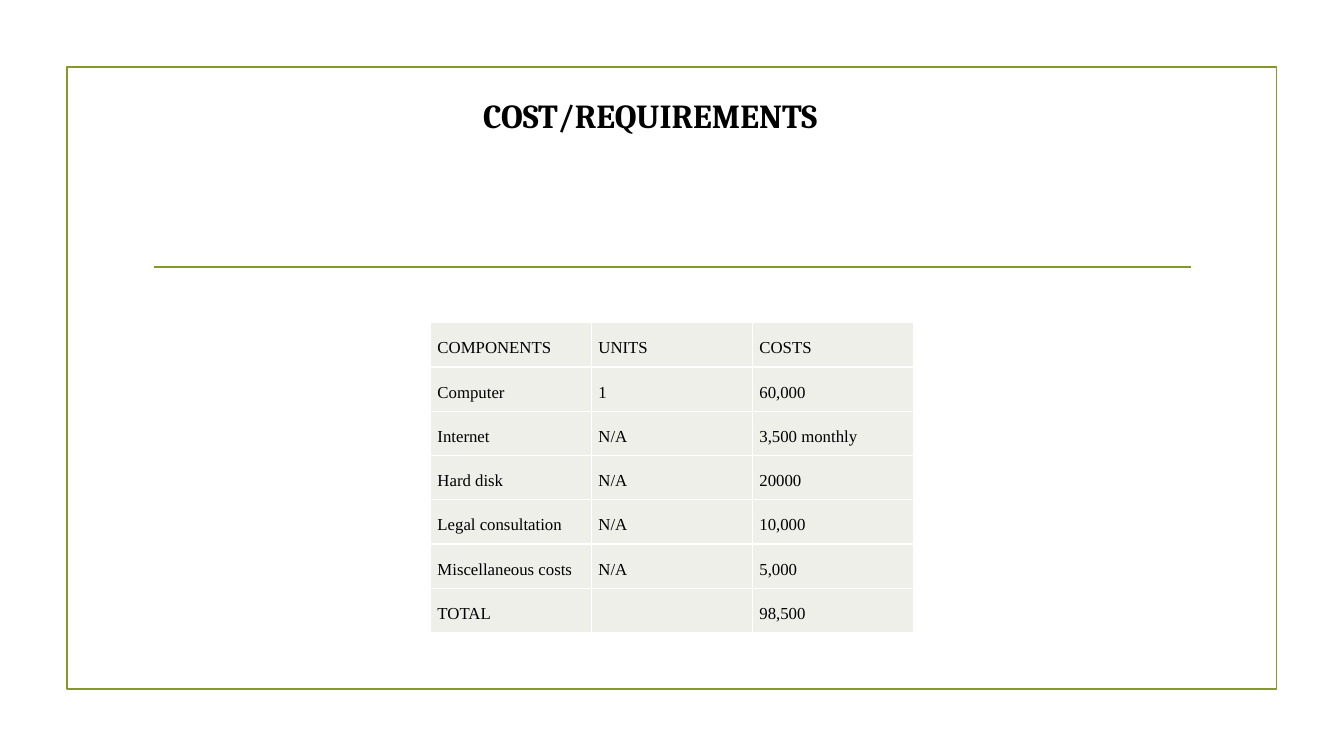
from lxml.etree import SubElement
from pptx import Presentation
from pptx.dml.color import RGBColor
from pptx.enum.shapes import MSO_CONNECTOR as Connector, MSO_SHAPE as Shape
from pptx.enum.text import MSO_AUTO_SIZE as AutoSize, PP_ALIGN as Align
from pptx.oxml.ns import qn
from pptx.util import Pt

COSTS = [
    ("COMPONENTS", "UNITS", "COSTS"),
    ("Computer", "1", "60,000"),
    ("Internet", "N/A", "3,500 monthly"),
    ("Hard disk", "N/A", "20000"),
    ("Legal consultation", "N/A", "10,000"),
    ("Miscellaneous costs", "N/A", "5,000"),
    ("TOTAL", "", "98,500"),
]


def color(value):
    return RGBColor.from_string(value)


def write(frame, text, font="Times New Roman", size=12, bold=False,
          align=Align.JUSTIFY, spacing=1.0):
    para = frame.paragraphs[0]
    para.alignment = align
    para.line_spacing = spacing
    span = para.add_run()
    span.text = text
    span.font.name = font
    span.font.size = Pt(size)
    span.font.bold = bold
    span.font.color.rgb = color("000000")


def border_cell(cell, value, width):
    """Draw all four edges of a table cell."""
    properties = cell._tc.get_or_add_tcPr()
    for position, edge in enumerate(("a:lnL", "a:lnR", "a:lnT", "a:lnB")):
        line = SubElement(properties, qn(edge), w=str(Pt(width)))
        fill = SubElement(line, qn("a:solidFill"))
        SubElement(fill, qn("a:srgbClr"), val=value)
        properties.insert(position, line)


class Slide:
    accent = "83992A"
    cell_fill = "EDEFE8"
    line_width = 1.25

    def __init__(self, page):
        self.shapes = page.shapes

    def outline(self, line):
        line.color.rgb = color(self.accent)
        line.width = Pt(self.line_width)

    def frame(self, left, top, width, height):
        box = self.shapes.add_shape(
            Shape.RECTANGLE, Pt(left), Pt(top), Pt(width), Pt(height))
        box.shadow.inherit = False
        box.fill.background()
        self.outline(box.line)

    def rule(self, left, right, top):
        line = self.shapes.add_connector(
            Connector.STRAIGHT, Pt(left), Pt(top), Pt(right), Pt(top))
        SubElement(line._element.spPr, qn("a:effectLst"))
        self.outline(line.line)

    def title(self, text, left, top, width, height):
        box = self.shapes.add_textbox(Pt(left), Pt(top), Pt(width), Pt(height))
        box.text_frame.word_wrap = True
        box.text_frame.auto_size = AutoSize.SHAPE_TO_FIT_TEXT
        write(box.text_frame, text, font="Cambria", size=24, bold=True,
              align=Align.CENTER)

    def table(self, rows, left, top, column_width, row_height, inset):
        columns = len(rows[0])
        table = self.shapes.add_table(
            len(rows), columns, Pt(left), Pt(top),
            Pt(column_width * columns), Pt(row_height * len(rows))).table
        for column in table.columns:
            column.width = Pt(column_width)
        for row_index, row in enumerate(rows):
            table.rows[row_index].height = Pt(row_height)
            for column_index, text in enumerate(row):
                self.cell(table.cell(row_index, column_index), text, inset)

    def cell(self, cell, text, inset):
        cell.margin_left = cell.margin_right = Pt(inset)
        cell.margin_top = cell.margin_bottom = Pt(inset)
        cell.fill.solid()
        cell.fill.fore_color.rgb = color(self.cell_fill)
        border_cell(cell, "FFFFFF", 1)
        if text:
            write(cell.text_frame, text, spacing=1.5)


def main():
    deck = Presentation()
    deck.slide_width, deck.slide_height = Pt(960), Pt(540)
    slide = Slide(deck.slides.add_slide(deck.slide_layouts[6]))
    slide.frame(47.75, 48, 864, 444)
    slide.rule(110, 850.5, 190.75)
    slide.title("COST/REQUIREMENTS", 60, 64, 809, 36)
    slide.table(COSTS, 307.5, 230.5, column_width=115, row_height=31.6, inset=5)
    deck.save("out.pptx")


if __name__ == "__main__":
    main()
